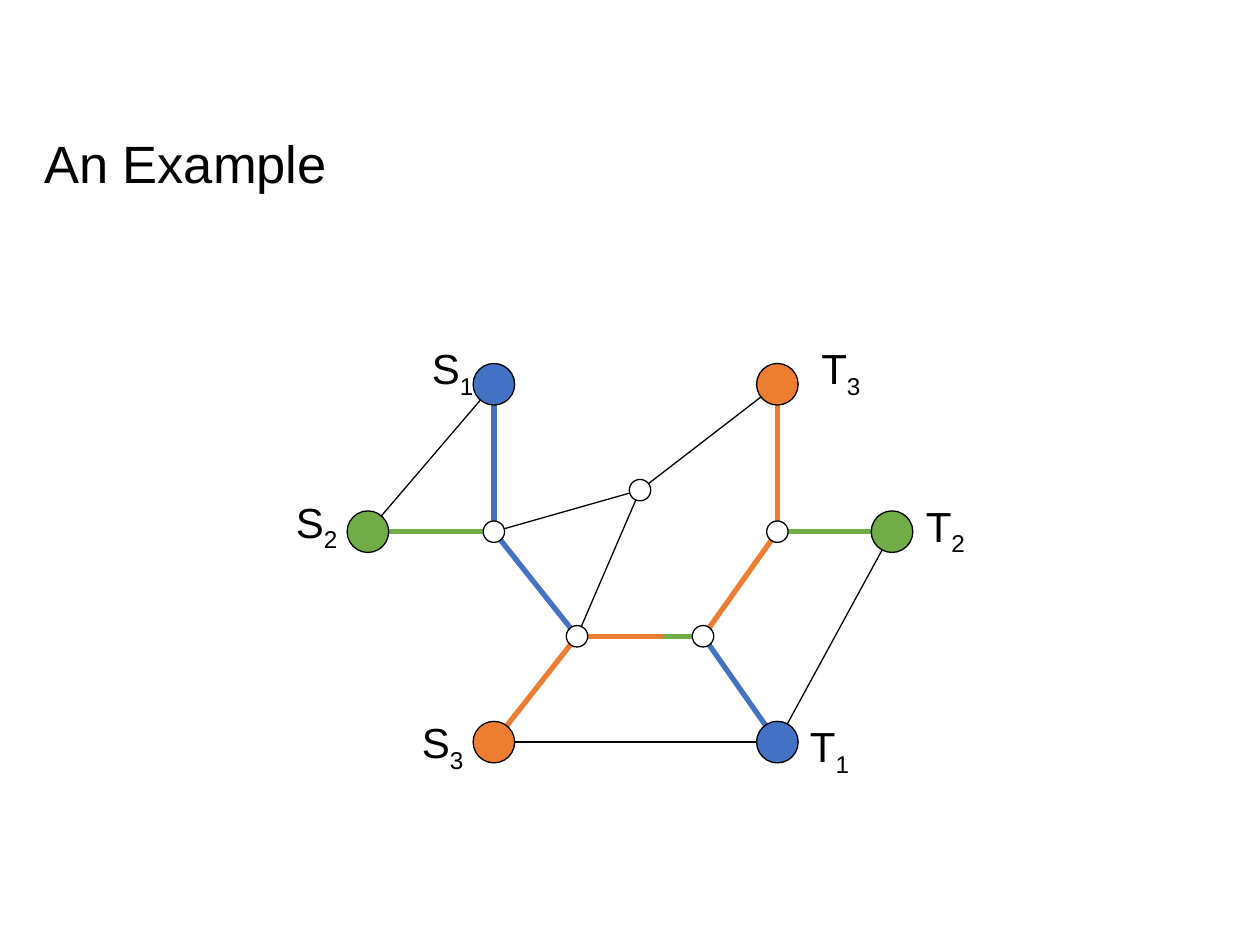
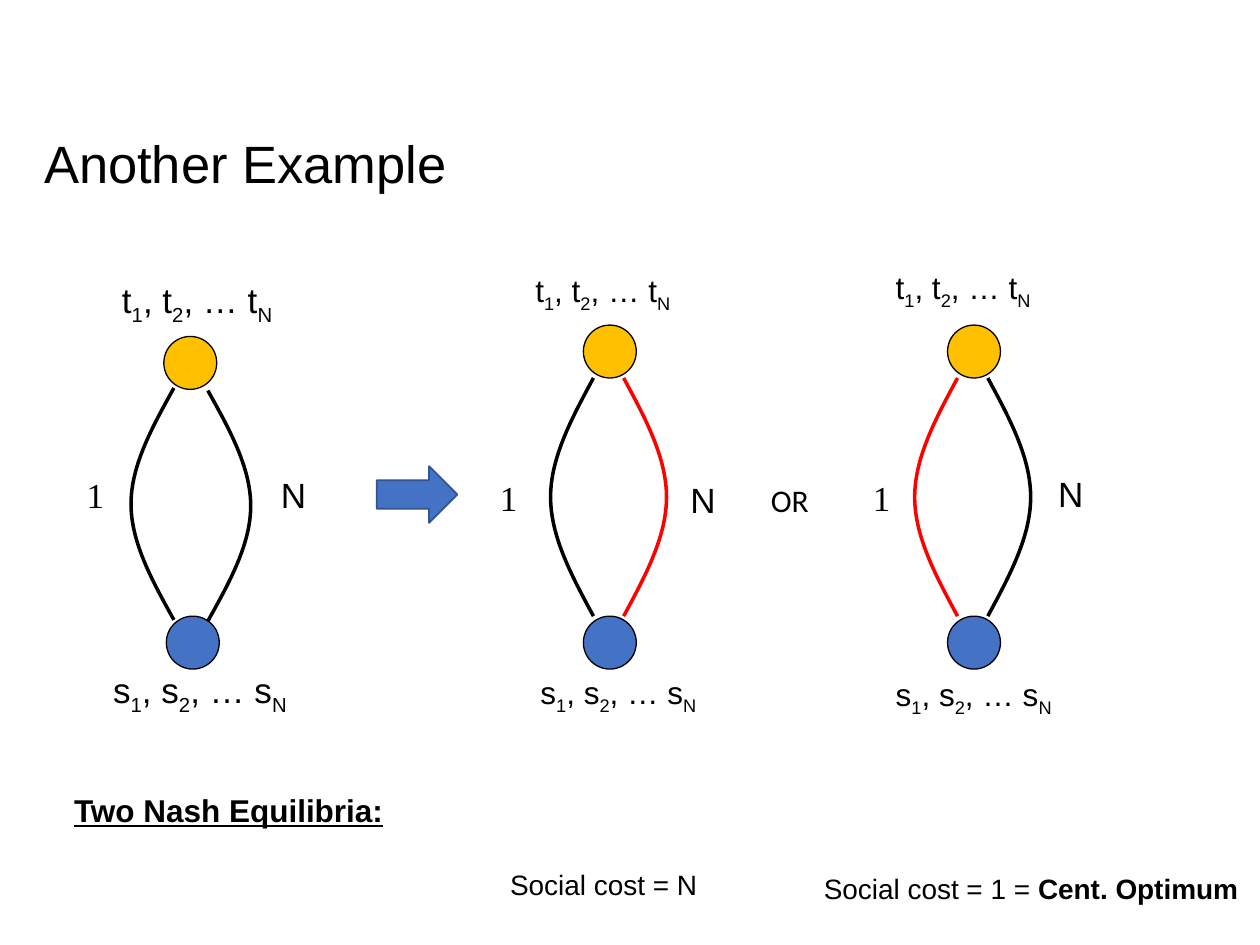
from dataclasses import dataclass

from lxml.etree import SubElement
from pptx import Presentation
from pptx.dml.color import RGBColor
from pptx.enum.shapes import MSO_CONNECTOR as Connector, MSO_SHAPE as Preset
from pptx.enum.text import MSO_ANCHOR as Anchor, MSO_AUTO_SIZE as AutoSize, PP_ALIGN as Align
from pptx.oxml.ns import qn
from pptx.util import Inches, Pt


@dataclass(frozen=True)
class Theme:
    black: str = "000000"
    white: str = "FFFFFF"
    blue: str = "4472C4"
    green: str = "70AD47"
    orange: str = "ED7D31"
    gold: str = "FFC000"
    red: str = "FF0000"
    arrow_edge: str = "325491"
    font: str = "Arial"
    serif: str = "Times New Roman"
    plain: str = "Calibri"
    title: int = 30
    title_leading: int = 32
    node_label: int = 24
    large: int = 20
    medium: int = 18
    small: int = 16
    thin: float = 0.75
    edge: float = 1
    curve: float = 2
    route: float = 3


THEME = Theme()


@dataclass(frozen=True)
class Node:
    x: float
    y: float
    diameter: float = 0.17
    fill: str = THEME.white


@dataclass(frozen=True)
class Edge:
    start: str
    end: str
    color: str = THEME.black
    width: float = THEME.thin


@dataclass(frozen=True)
class Label:
    text: str
    left: float
    top: float
    width: float
    height: float
    size: int = THEME.large
    font: str = THEME.font
    bold: bool = False
    underline: bool = False
    wrap: bool = False


@dataclass(frozen=True)
class Strand:
    x: float
    top: float
    height: float
    bulge: float
    color: str = THEME.black


@dataclass(frozen=True)
class Loop:
    target: Node
    source: Node
    strands: tuple[Strand, Strand]


def rgb(color: str) -> RGBColor:
    return RGBColor.from_string(color)


def set_line(line, color: str, width: float) -> None:
    line.color.rgb = rgb(color)
    line.width = Pt(width)


def write(para, text: str, *, size: int, font: str = THEME.font, color: str = THEME.black,
          bold: bool = False, underline: bool = False, subscript: bool = False) -> None:
    span = para.add_run()
    span.text = text
    span.font.size = Pt(size)
    span.font.name = font
    span.font.color.rgb = rgb(color)
    span.font.bold = bold
    span.font.underline = underline
    if subscript:
        span._r.get_or_add_rPr().set("baseline", "-25000")


def write_indexed(para, text: str, **style) -> None:
    head, *tails = text.split("_")
    write(para, head, **style)
    for tail in tails:
        write(para, tail[0], subscript=True, **style)
        if tail[1:]:
            write(para, tail[1:], **style)


def add_label(page, label: Label):
    box = page.shapes.add_textbox(Inches(label.left), Inches(label.top),
                                  Inches(label.width), Inches(label.height))
    frame = box.text_frame
    frame.word_wrap = label.wrap
    frame.auto_size = AutoSize.SHAPE_TO_FIT_TEXT
    para = frame.paragraphs[0]
    write_indexed(para, label.text, size=label.size, font=label.font,
                  bold=label.bold, underline=label.underline)
    return para


def add_preset(page, preset, left: float, top: float, width: float, height: float, *,
               fill: str, line: str = THEME.black, line_width: float = THEME.thin) -> None:
    shape = page.shapes.add_shape(preset, Inches(left), Inches(top),
                                  Inches(width), Inches(height))
    shape.shadow.inherit = False
    shape.fill.solid()
    shape.fill.fore_color.rgb = rgb(fill)
    set_line(shape.line, line, line_width)


def add_node(page, node: Node) -> None:
    radius = node.diameter / 2
    add_preset(page, Preset.OVAL, node.x - radius, node.y - radius,
               node.diameter, node.diameter, fill=node.fill)


def add_edge(page, start: Node, end: Node, color: str, width: float) -> None:
    connector = page.shapes.add_connector(Connector.STRAIGHT, Inches(start.x), Inches(start.y),
                                          Inches(end.x), Inches(end.y))
    set_line(connector.line, color, width)
    SubElement(connector._element.spPr, qn("a:effectLst"))


def add_strand(page, strand: Strand) -> None:
    steps = ((0.5, 5 / 6), (1, 2 / 3), (1, 1 / 2), (1, 1 / 3), (0.5, 1 / 6), (0, 0))
    points = [(Inches(strand.x + strand.bulge * across), Inches(strand.top + strand.height * down))
              for across, down in steps]
    builder = page.shapes.build_freeform(Inches(strand.x), Inches(strand.top + strand.height))
    builder.add_line_segments(points, close=False)
    shape = builder.convert_to_shape()
    outline = next(shape._element.iter(qn("a:path")))
    segments = outline.findall(qn("a:lnTo"))
    for first in range(0, len(segments), 3):
        curve = SubElement(outline, qn("a:cubicBezTo"))
        for segment in segments[first:first + 3]:
            curve.append(segment[0])
            outline.remove(segment)
    shape.shadow.inherit = False
    shape.fill.background()
    set_line(shape.line, strand.color, THEME.curve)


def add_page(deck, heading: str):
    page = deck.slides.add_slide(deck.slide_layouts[5])
    title = page.shapes.title
    title.left, title.top = Inches(0.35), Inches(1.09)
    title.width, title.height = Inches(9.31), Inches(0.45)
    frame = title.text_frame
    frame.margin_left = frame.margin_right = frame.margin_top = frame.margin_bottom = 0
    frame.vertical_anchor = Anchor.MIDDLE
    frame.auto_size = AutoSize.SHAPE_TO_FIT_TEXT
    para = frame.paragraphs[0]
    para.alignment = Align.LEFT
    para.line_spacing = Pt(THEME.title_leading)
    write(para, heading, size=THEME.title)
    return page


def build_network(deck) -> None:
    page = add_page(deck, "An Example")
    nodes = {
        "S1": Node(3.92, 3.05, 0.33, THEME.blue),
        "S2": Node(2.92, 4.22, 0.33, THEME.green),
        "S3": Node(3.92, 5.89, 0.33, THEME.orange),
        "T1": Node(6.17, 5.89, 0.33, THEME.blue),
        "T2": Node(7.08, 4.22, 0.33, THEME.green),
        "T3": Node(6.17, 3.05, 0.33, THEME.orange),
        "west": Node(3.92, 4.22),
        "north": Node(5.08, 3.89),
        "east": Node(6.17, 4.22),
        "hub_left": Node(4.58, 5.05),
        "hub_right": Node(5.58, 5.05),
    }
    edges = [Edge(*ends) for ends in (
        ("S1", "S2"), ("S3", "T1"), ("T2", "T1"),
        ("west", "north"), ("T3", "north"), ("north", "hub_left"))]
    routes = {
        THEME.blue: (("S1", "west"), ("west", "hub_left"), ("T1", "hub_right")),
        THEME.green: (("S2", "west"), ("T2", "east"), ("hub_left", "hub_right")),
        THEME.orange: (("S3", "hub_left"), ("T3", "east"), ("east", "hub_right")),
    }
    edges += [Edge(*ends, color, THEME.route) for color, legs in routes.items() for ends in legs]
    for edge in edges:
        add_edge(page, nodes[edge.start], nodes[edge.end], edge.color, edge.width)
    add_edge(page, nodes["hub_left"], Node(5.26, 5.05), THEME.orange, THEME.route)
    for node in nodes.values():
        add_node(page, node)
    for text, left, top in (("S_1", 3.33, 2.67), ("T_3", 6.42, 2.67), ("T_1", 6.33, 5.67),
                            ("T_2", 7.25, 3.92), ("S_2", 2.25, 3.89), ("S_3", 3.25, 5.64)):
        width = 0.55 if text.startswith("S") else 0.53
        add_label(page, Label(text, left, top, width, 0.5, THEME.node_label))


def centered_loop(x: float, left_color: str, right_color: str) -> Loop:
    return Loop(Node(x, 2.79, 0.42, THEME.gold), Node(x, 5.1, 0.42, THEME.blue),
                (Strand(x - 0.13, 3, 1.89, -0.34, left_color),
                 Strand(x + 0.11, 3, 1.89, 0.34, right_color)))


def build_equilibria(deck) -> None:
    page = add_page(deck, "Another Example")
    loops = (
        Loop(Node(1.51, 2.88, 0.42, THEME.gold), Node(1.53, 5.1, 0.42, THEME.blue),
             (Strand(1.38, 3.08, 1.84, -0.34), Strand(1.65, 3.1, 1.83, 0.34))),
        centered_loop(4.84, THEME.black, THEME.red),
        centered_loop(7.73, THEME.red, THEME.black),
    )
    for loop in loops:
        add_node(page, loop.target)
        add_node(page, loop.source)
        for strand in loop.strands:
            add_strand(page, strand)
    add_preset(page, Preset.RIGHT_ARROW, 2.99, 3.7, 0.64, 0.45, fill=THEME.blue,
               line=THEME.arrow_edge, line_width=THEME.edge)

    targets, sources = "t_1, t_2, … t_N", "s_1, s_2, … s_N"
    labels = [
        Label(targets, 0.87, 2.16, 1.44, 0.44),
        Label(sources, 0.8, 5.26, 1.63, 0.44),
        Label(targets, 4.15, 2.1, 1.32, 0.4, THEME.medium),
        Label(sources, 4.19, 5.29, 1.49, 0.4, THEME.medium),
        Label(targets, 7.01, 2.08, 1.32, 0.4, THEME.medium),
        Label(sources, 7.01, 5.31, 1.49, 0.4, THEME.medium),
        Label("OR", 6.02, 3.77, 0.6, 0.4, THEME.medium, THEME.plain, wrap=True),
        Label("Two Nash Equilibria:", 0.49, 6.23, 2.73, 0.4, THEME.medium,
              bold=True, underline=True, wrap=True),
        Label("Social cost = N", 3.95, 6.84, 1.91, 0.37, THEME.small, wrap=True),
    ]
    labels += [Label("1", left, top, 0.34, 0.43, font=THEME.serif)
               for left, top in ((0.59, 3.71), (3.87, 3.73), (6.83, 3.73))]
    labels += [Label("N", left, top, 0.41, 0.44)
               for left, top in ((2.13, 3.71), (5.38, 3.75), (8.3, 3.7))]
    for label in labels:
        add_label(page, label)
    optimum = add_label(page, Label("Social cost = 1 = ", 6.44, 6.87, 3.56, 0.37,
                                    THEME.small, wrap=True))
    write(optimum, "Cent. Optimum", size=THEME.small, bold=True)


def main() -> None:
    deck = Presentation()
    deck.slide_width, deck.slide_height = Inches(10), Inches(7.5)
    build_network(deck)
    build_equilibria(deck)
    deck.save("out.pptx")


if __name__ == "__main__":
    main()
